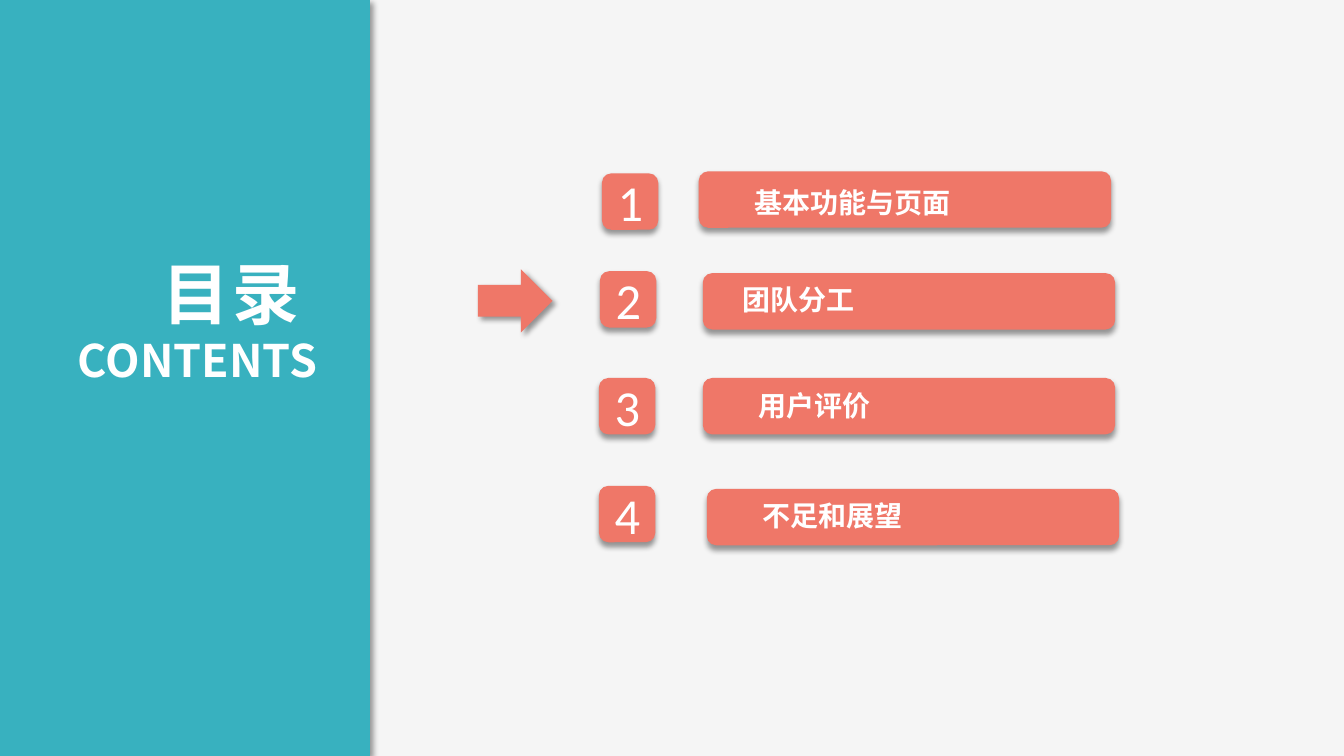
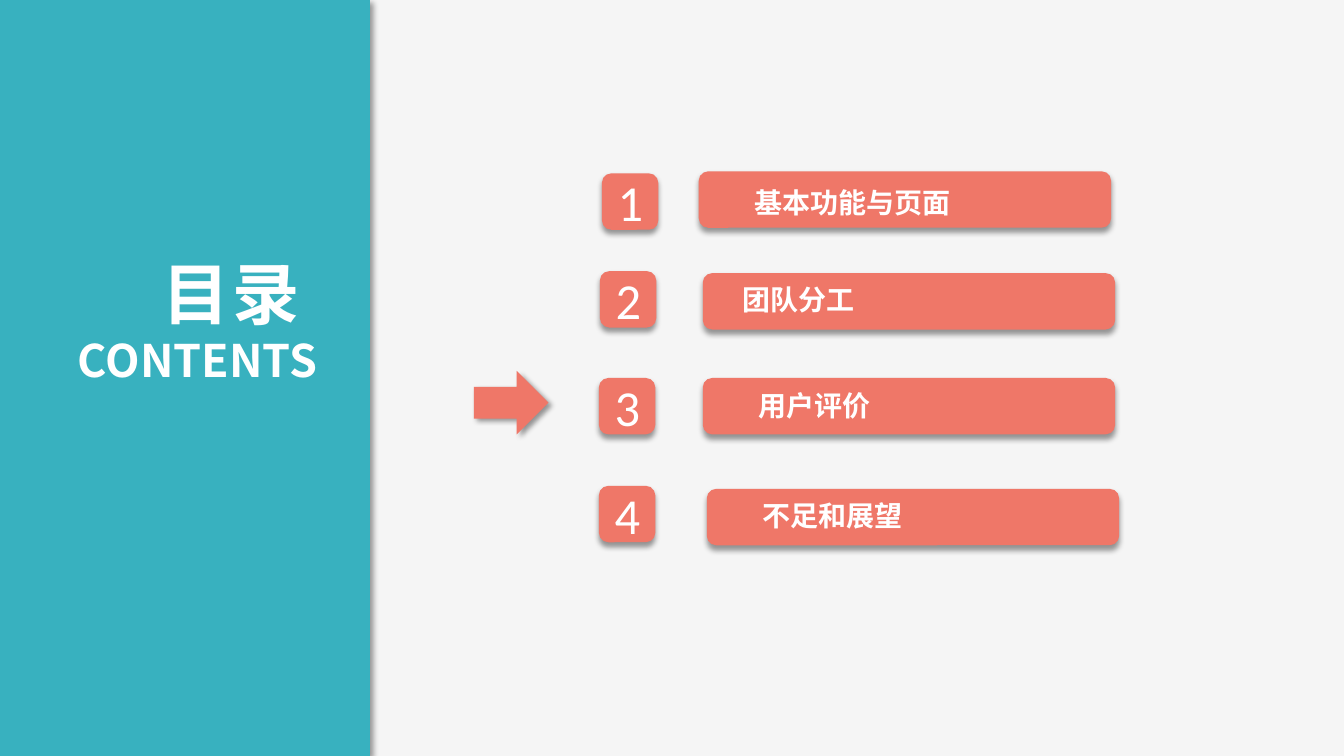
from lxml import etree
from pptx import Presentation
from pptx.dml.color import RGBColor as Rgb
from pptx.enum.shapes import MSO_SHAPE as Kind
from pptx.enum.text import MSO_ANCHOR as Anchor, MSO_AUTO_SIZE as Fit, PP_ALIGN as Align
from pptx.oxml import parse_xml
from pptx.oxml.ns import nsdecls, qn
from pptx.util import Inches, Pt

HUES = {"page": "F5F5F5", "teal": "38B1BF", "coral": "EF7768", "white": "FFFFFF"}
CJK = "Noto Sans CJK SC"
SIDE = 0.56
ITEMS = [
    ("基本功能与页面", (5.97, 1.72), (6.93, 1.7), (7.35, 1.77)),
    ("团队分工", (5.95, 2.69), (6.97, 2.71), (7.23, 2.73)),
    ("用户评价", (5.94, 3.75), (6.97, 3.75), (7.39, 3.78)),
    ("不足和展望", (5.94, 4.82), (7.01, 4.85), (7.43, 4.88)),
]
ARROWS = [(4.74, 2.67), (4.7, 3.68)]


def block(shapes, kind, box, hue, angle):
    shape = shapes.add_shape(kind, *map(Inches, box))
    shape.fill.solid()
    shape.fill.fore_color.rgb = Rgb.from_string(HUES[hue])
    shape.line.fill.background()
    shape.shadow.inherit = False
    glow = shape.element.spPr.find(qn("a:effectLst"))
    glow.append(parse_xml(
        f'<a:outerShdw {nsdecls("a")} blurRad="{Pt(4)}" dist="{Pt(3)}" '
        f'dir="{angle * 60000}" algn="t" rotWithShape="0">'
        '<a:srgbClr val="000000"><a:alpha val="40000"/></a:srgbClr></a:outerShdw>'))
    return shape


def write(frame, lines, face, bold, align, anchor):
    frame.word_wrap = True
    frame.vertical_anchor = anchor
    frame.margin_left = frame.margin_right = Inches(0.13)
    frame.margin_top = frame.margin_bottom = Inches(0.07)
    for i, (text, size, gap) in enumerate(lines):
        para = frame.add_paragraph() if i else frame.paragraphs[0]
        para.alignment = align
        para.line_spacing = 1.0
        para.space_before = Pt(0)
        run = para.add_run()
        run.text = text
        font = run.font
        font.size, font.bold, font.name = Pt(size), bold, face
        font.color.rgb = Rgb.from_string(HUES["white"])
        props = run._r.get_or_add_rPr()
        props.set("spc", str(gap * 100))
        etree.SubElement(props, qn("a:ea")).set("typeface", face)


prs = Presentation()
prs.slide_width, prs.slide_height = Inches(13.33), Inches(7.5)
back = prs.slide_master.background.fill
back.solid()
back.fore_color.rgb = Rgb.from_string(HUES["page"])

for spot in ARROWS:
    slide = prs.slides.add_slide(prs.slide_layouts[5])
    shapes = slide.shapes
    title = shapes.title
    panel = block(shapes, Kind.RECTANGLE, (0, 0, 3.67, 7.5), "teal", 45)
    title.element.addprevious(panel.element)
    title.left, title.top = Inches(0.21), Inches(2.43)
    title.width, title.height = Inches(3.07), Inches(1.48)
    write(title.text_frame, [("目录 ", 48, 2), ("CONTENTS", 32, 0)],
          CJK, True, Align.RIGHT, Anchor.TOP)
    title.text_frame.auto_size = Fit.SHAPE_TO_FIT_TEXT

    for num, (text, tile, bar, label) in enumerate(ITEMS, 1):
        badge = block(shapes, Kind.ROUNDED_RECTANGLE, (*tile, SIDE, SIDE), "coral", 90)
        write(badge.text_frame, [(str(num), 36, 0)],
              "Calibri", False, Align.CENTER, Anchor.MIDDLE)
        group = shapes.add_group_shape()
        block(group.shapes, Kind.ROUNDED_RECTANGLE, (*bar, 4.09, SIDE), "coral", 90)
        note = group.shapes.add_textbox(*map(Inches, (*label, 2.99, 0.47)))
        write(note.text_frame, [(text, 20, 0)], CJK, True, Align.LEFT, Anchor.TOP)
        note.text_frame.auto_size = Fit.SHAPE_TO_FIT_TEXT

    block(shapes, Kind.RIGHT_ARROW, (*spot, 0.74, 0.63), "coral", 45)

prs.save("out.pptx")
